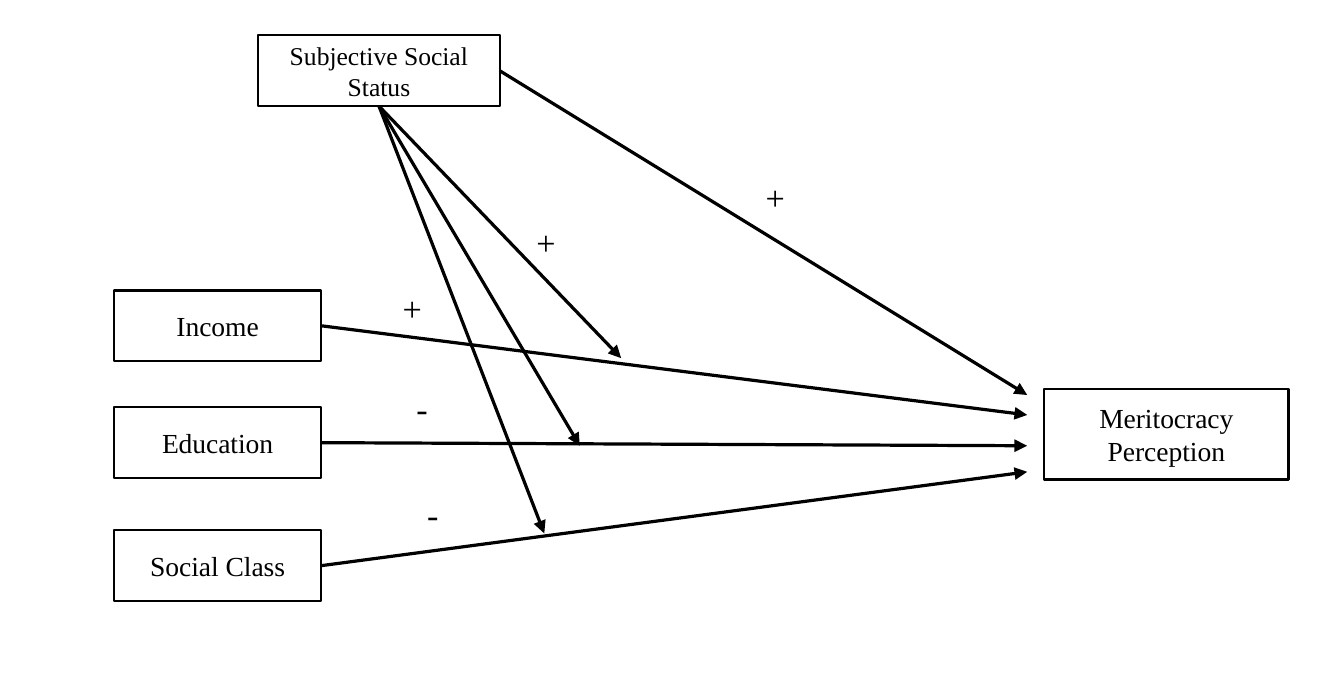
from lxml.etree import SubElement
from pptx import Presentation
from pptx.dml.color import RGBColor
from pptx.enum.shapes import MSO_CONNECTOR, MSO_SHAPE
from pptx.enum.text import MSO_ANCHOR, MSO_AUTO_SIZE, PP_ALIGN
from pptx.oxml.ns import qn
from pptx.util import Inches, Pt

BLACK = RGBColor(0x00, 0x00, 0x00)
WHITE = RGBColor(0xFF, 0xFF, 0xFF)
BOTTOM, RIGHT = 2, 3  # connection sites of a rectangle

prs = Presentation()
prs.slide_width, prs.slide_height = Inches(8.74), Inches(4.45)
s = prs.slides.add_slide(prs.slide_layouts[6])


def place(x, y, w=0, h=0):
    """Turn percentages of the slide's width and height into lengths."""
    sizes = (prs.slide_width, prs.slide_height) * 2
    return [int(size * share / 100) for size, share in zip(sizes, (x, y, w, h))]


def add_text(text, at, size=12.9, boxed=True):
    if boxed:
        sp = s.shapes.add_shape(MSO_SHAPE.RECTANGLE, *place(*at))
        sp.shadow.inherit = False
        sp.fill.solid()
        sp.fill.fore_color.rgb = WHITE
        sp.line.color.rgb = BLACK
        sp.line.width = Pt(1)
    else:
        sp = s.shapes.add_textbox(*place(*at))
    tf = sp.text_frame
    tf.word_wrap = boxed
    if boxed:
        tf.vertical_anchor = MSO_ANCHOR.MIDDLE
        tf.margin_left = tf.margin_right = Inches(0.07)
        tf.margin_top = tf.margin_bottom = Inches(0.04)
    else:
        tf.auto_size = MSO_AUTO_SIZE.SHAPE_TO_FIT_TEXT
    p = tf.paragraphs[0]
    p.alignment = PP_ALIGN.CENTER if boxed else PP_ALIGN.LEFT
    r = p.add_run()
    r.text = text
    r.font.name = "Times New Roman"
    r.font.size = Pt(size)
    r.font.color.rgb = BLACK
    return sp


# Boxes: three predictors in one column, the moderator and the outcome
income, education, social_class = [
    add_text(name, (8.47, y, 15.45, 10.34))
    for name, y in [("Income", 42.47), ("Education", 59.55), ("Social Class", 77.53)]
]
status = add_text("Subjective Social Status", (19.22, 5.17, 17.96, 10.34), size=12)
add_text("Meritocracy Perception", (77.69, 56.85, 18.19, 13.26))

# Arrows: direct effects end beside the outcome, moderations on the paths
OUTCOME_X = 76.43
arrows = [
    (income, RIGHT, OUTCOME_X, 60.67),
    (education, RIGHT, OUTCOME_X, 65.17),
    (social_class, RIGHT, OUTCOME_X, 68.99),
    (status, RIGHT, OUTCOME_X, 57.75),
    (status, BOTTOM, 46.22, 52.36),
    (status, BOTTOM, 43.14, 65.17),
    (status, BOTTOM, 40.5, 77.98),
]
for source, site, x, y in arrows:
    end_x, end_y = place(x, y)[:2]
    arrow = s.shapes.add_connector(
        MSO_CONNECTOR.STRAIGHT, source.left, source.top, end_x, end_y)
    arrow.begin_connect(source, site)
    arrow.line.color.rgb = BLACK
    arrow.line.width = Pt(1.5)
    SubElement(arrow.line._get_or_add_ln(), qn("a:tailEnd"), type="triangle")
    SubElement(arrow._element.spPr, qn("a:effectLst"))

# Signs of the effects
signs = [
    ("+", 28.83, 40.9),
    ("-", 29.86, 55.51),
    ("-", 30.66, 71.01),
    ("+", 38.79, 31.24),
    ("+", 55.84, 24.72),
]
for sign, x, y in signs:
    width = 3.78 if sign == "+" else 3.2
    add_text(sign, (x, y, width, 8.31), size=16, boxed=False)

prs.save("out.pptx")
